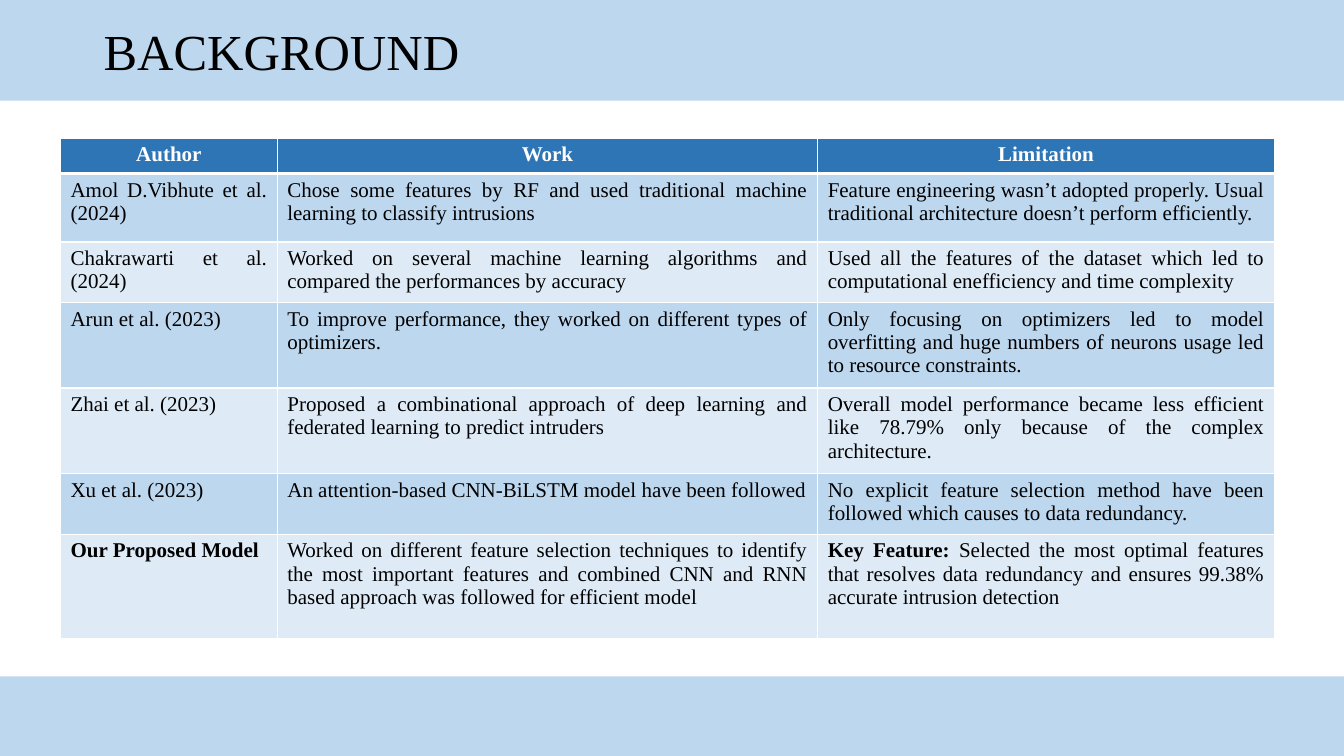
from dataclasses import dataclass
from typing import NamedTuple

from lxml.etree import SubElement
from pptx import Presentation
from pptx.dml.color import RGBColor
from pptx.enum.shapes import MSO_SHAPE
from pptx.enum.text import MSO_ANCHOR, PP_ALIGN
from pptx.oxml.ns import qn
from pptx.util import Inches, Pt


@dataclass(frozen=True)
class Theme:
    font: str = "Times New Roman"
    title_size: int = 36
    table_size: int = 15
    band: str = "BDD7EE"
    pale: str = "DEEBF7"
    header: str = "2E75B6"
    ink: str = "000000"
    white: str = "FFFFFF"
    grid_width: int = 1
    header_rule_width: int = 3


class Band(NamedTuple):
    top: float
    height: float


class Study(NamedTuple):
    author: str
    work: str
    limitation: str
    height: float
    lead: str = ""  # bold words that open the last column
    bold_author: bool = False


THEME = Theme()
SLIDE_WIDTH, SLIDE_HEIGHT = 13.33, 7.5
TITLE_BAND = Band(0, 1)
FOOTER_BAND = Band(6.71, 0.79)
TITLE_INDENT = 0.93
TABLE_LEFT, TABLE_TOP = 0.6, 1.37
COLUMN_WIDTHS = (2.15, 5.36, 4.53)
HEADINGS = ("Author", "Work", "Limitation")
HEADER_HEIGHT = 0.35

STUDIES = (
    Study("Amol D.Vibhute et al. (2024)",
          "Chose some features by RF and used traditional machine learning to classify intrusions",
          "Feature engineering wasn’t adopted properly. Usual traditional architecture "
          "doesn’t perform efficiently.", 0.68),
    Study("Chakrawarti et al. (2024)",
          "Worked on several machine learning algorithms and compared the performances by accuracy",
          "Used all the features of the dataset which led to computational enefficiency "
          "and time complexity", 0.6),
    Study("Arun et al. (2023)",
          "To improve performance, they worked on different types of optimizers.",
          "Only focusing on optimizers led to model overfitting and huge numbers of "
          "neurons usage led to resource constraints.", 0.85),
    Study("Zhai et al. (2023)",
          "Proposed a combinational approach of deep learning and federated learning "
          "to predict intruders",
          "Overall model performance became less efficient like 78.79% only because of "
          "the complex architecture.", 0.85),
    Study("Xu et al. (2023)",
          "An attention-based CNN-BiLSTM model have been followed",
          "No explicit feature selection method have been followed which causes to "
          "data redundancy.", 0.6),
    Study("Our Proposed Model",
          "Worked on different feature selection techniques to identify the most important "
          "features and combined CNN and RNN based approach was followed for efficient model",
          "Selected the most optimal features that resolves data redundancy and ensures "
          "99.38% accurate intrusion detection", 1.04, lead="Key Feature: ", bold_author=True),
)


def add_text(paragraph, text: str, *, size: int, color: str = THEME.ink,
             bold: bool = False, align=PP_ALIGN.JUSTIFY) -> None:
    """Append one formatted run to a paragraph."""
    paragraph.alignment = align
    run = paragraph.add_run()
    run.text = text
    run.font.name = THEME.font
    run.font.size = Pt(size)
    run.font.bold = bold
    run.font.color.rgb = RGBColor.from_string(color)


def add_band(slide, band: Band):
    """Draw a full-width colour band."""
    shape = slide.shapes.add_shape(MSO_SHAPE.RECTANGLE, 0, Inches(band.top),
                                   Inches(SLIDE_WIDTH), Inches(band.height))
    shape.shadow.inherit = False
    shape.fill.solid()
    shape.fill.fore_color.rgb = RGBColor.from_string(THEME.band)
    shape.line.fill.background()
    return shape


def style_cell(cell, fill: str, top: int, bottom: int) -> None:
    """Give a cell white borders (widths in points) and then its fill."""
    properties = cell._tc.get_or_add_tcPr()
    widths = {"L": THEME.grid_width, "R": THEME.grid_width, "T": top, "B": bottom}
    for side, width in widths.items():
        border = SubElement(properties, qn(f"a:ln{side}"), w=str(Pt(width)))
        SubElement(SubElement(border, qn("a:solidFill")), qn("a:srgbClr"), val=THEME.white)
    cell.fill.solid()
    cell.fill.fore_color.rgb = RGBColor.from_string(fill)


def add_studies_table(slide) -> None:
    """Draw the comparison of earlier work with the proposed model."""
    heights = (HEADER_HEIGHT, *(study.height for study in STUDIES))
    table = slide.shapes.add_table(
        len(heights), len(COLUMN_WIDTHS), Inches(TABLE_LEFT), Inches(TABLE_TOP),
        Inches(sum(COLUMN_WIDTHS)), Inches(sum(heights))).table
    for column, width in zip(table.columns, COLUMN_WIDTHS):
        column.width = Inches(width)
    for row, height in zip(table.rows, heights):
        row.height = Inches(height)

    # Header row
    for cell, heading in zip(table.rows[0].cells, HEADINGS):
        style_cell(cell, THEME.header, THEME.grid_width, THEME.header_rule_width)
        add_text(cell.text_frame.paragraphs[0], heading, size=THEME.table_size,
                 color=THEME.white, bold=True, align=PP_ALIGN.CENTER)

    # Study rows in alternating tints
    for number, study in enumerate(STUDIES, start=1):
        cells = table.rows[number].cells
        top = THEME.header_rule_width if number == 1 else THEME.grid_width
        for cell in cells:
            style_cell(cell, THEME.band if number % 2 else THEME.pale, top, THEME.grid_width)
        author, work, limitation = (cell.text_frame.paragraphs[0] for cell in cells)
        add_text(author, study.author, size=THEME.table_size, bold=study.bold_author)
        add_text(work, study.work, size=THEME.table_size)
        if study.lead:
            add_text(limitation, study.lead, size=THEME.table_size, bold=True)
        add_text(limitation, study.limitation, size=THEME.table_size)


def main() -> None:
    presentation = Presentation()
    presentation.slide_width = Inches(SLIDE_WIDTH)
    presentation.slide_height = Inches(SLIDE_HEIGHT)
    slide = presentation.slides.add_slide(presentation.slide_layouts[6])

    # Title band
    title = add_band(slide, TITLE_BAND).text_frame
    title.word_wrap = True
    title.vertical_anchor = MSO_ANCHOR.MIDDLE
    heading = title.paragraphs[0]
    add_text(heading, "BACKGROUND", size=THEME.title_size)
    heading._p.get_or_add_pPr().set("marL", str(Inches(TITLE_INDENT)))

    # Footer band and table
    add_band(slide, FOOTER_BAND)
    add_studies_table(slide)

    presentation.save("out.pptx")


if __name__ == "__main__":
    main()
